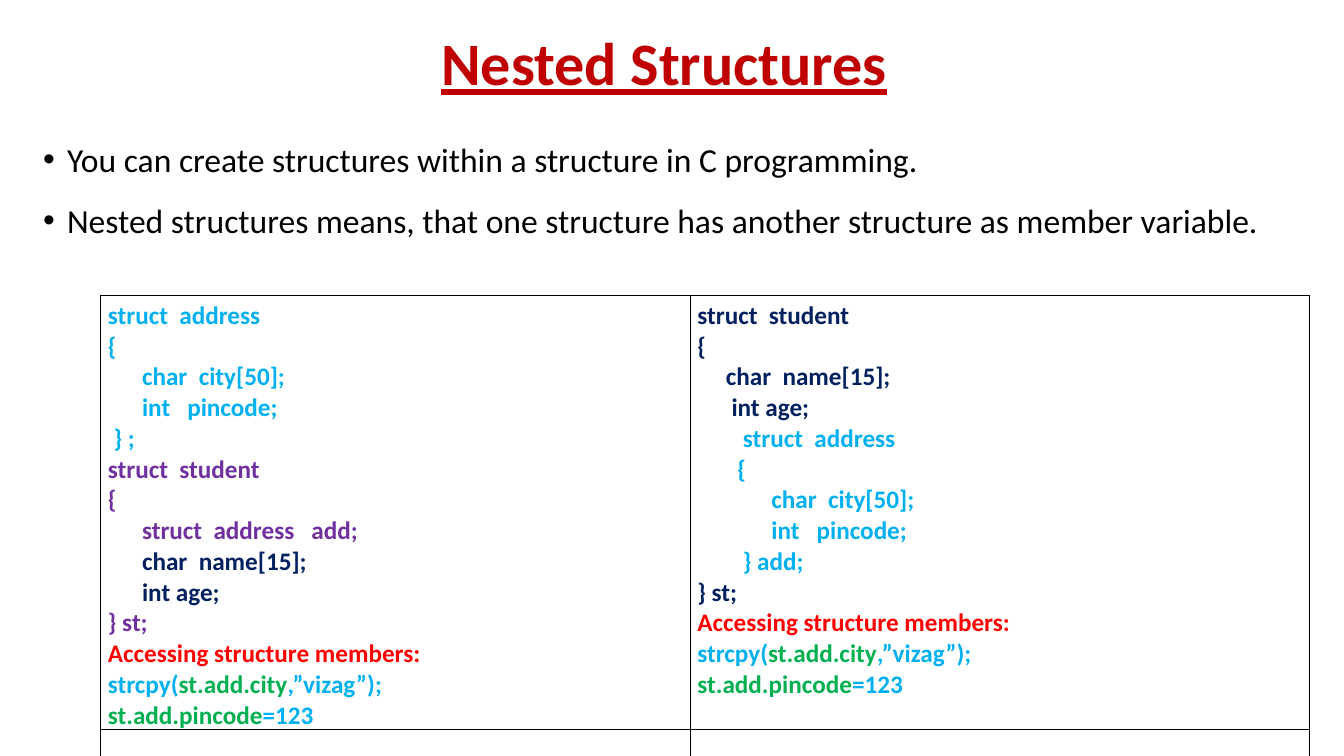
from typing import NamedTuple

from lxml import etree
from pptx import Presentation
from pptx.dml.color import RGBColor
from pptx.enum import text
from pptx.oxml import ns
from pptx.util import Cm, Pt

COLORS = {
    "black": "000000", "title": "C00000", "sky": "00B0F0", "purple": "7030A0",
    "navy": "002060", "red": "FF0000", "green": "00B050",
}
FONT = "Calibri"
SPACE_CM = 0.1435  # width of one column of code indentation


class Box(NamedTuple):
    left: float
    top: float
    width: float
    height: float


class Line(NamedTuple):
    """One line of code: its indent in columns and its (text, color) pieces."""
    indent: int
    pieces: list[tuple[str, str]]


def code(color: str, *lines: tuple[int, str]) -> list[Line]:
    return [Line(indent, [(words, color)]) for indent, words in lines]


# Content
BULLETS = [
    "You can create structures within a structure in C programming.",
    "Nested structures means, that one structure has another structure as member variable.",
]
ACCESS = [
    Line(0, [("Accessing structure members:", "red")]),
    Line(0, [("strcpy(", "sky"), ("st.add.city", "green"), (",”vizag”);", "sky")]),
    Line(0, [("st.add.pincode", "green"), ("=123", "sky")]),
]
SEPARATE = [
    *code("sky", (0, "struct  address"), (0, "{"), (6, "char  city[50];"),
          (6, "int   pincode;"), (1, "} ;")),
    *code("purple", (0, "struct  student"), (0, "{"), (6, "struct  address   add;")),
    *code("navy", (6, "char  name[15];"), (6, "int age;")),
    *code("purple", (0, "} st;")),
    *ACCESS,
]
EMBEDDED = [
    *code("navy", (0, "struct  student"), (0, "{"), (5, "char  name[15];"), (6, "int age;")),
    *code("sky", (8, "struct  address"), (7, "{"), (13, "char  city[50];"),
          (13, "int   pincode;"), (8, "} add;")),
    *code("navy", (0, "} st;")),
    *ACCESS,
]


def add_run(p, words: str, *, size: float, color: str,
            bold: bool = False, underline: bool = False) -> None:
    r = p.add_run()
    r.text = words
    r.font.name = FONT
    r.font.size = Pt(size)
    r.font.bold = bold
    r.font.underline = underline
    r.font.color.rgb = RGBColor.from_string(COLORS[color])


def next_paragraph(tf, index: int):
    return tf.paragraphs[0] if index == 0 else tf.add_paragraph()


def add_text_box(slide, box: Box, anchor: text.MSO_ANCHOR):
    sp = slide.shapes.add_textbox(*(Cm(v) for v in box))
    tf = sp.text_frame
    tf.word_wrap = True
    tf.vertical_anchor = anchor
    return tf


def set_bullet(p, hanging: float) -> None:
    pPr = p._p.get_or_add_pPr()
    pPr.set("marL", str(Cm(hanging)))
    pPr.set("indent", str(-Cm(hanging)))
    etree.SubElement(pPr, ns.qn("a:buFont")).set("typeface", "Arial")
    etree.SubElement(pPr, ns.qn("a:buChar")).set("char", "•")


def format_cell(cell) -> None:
    cell.fill.background()
    cell.margin_left = cell.margin_right = Cm(0.18)
    cell.margin_top = cell.margin_bottom = Cm(0.13)
    tcPr = cell._tc.get_or_add_tcPr()
    for i, side in enumerate(("lnL", "lnR", "lnT", "lnB")):
        ln = etree.Element(ns.qn(f"a:{side}"), w=str(Pt(0.45)))
        fill = etree.SubElement(ln, ns.qn("a:solidFill"))
        etree.SubElement(fill, ns.qn("a:srgbClr")).set("val", COLORS["black"])
        tcPr.insert(i, ln)


def fill_code(cell, lines: list[Line]) -> None:
    for i, line in enumerate(lines):
        p = next_paragraph(cell.text_frame, i)
        p._p.get_or_add_pPr().set("marL", str(Cm(line.indent * SPACE_CM)))
        for words, color in line.pieces:
            add_run(p, words, size=18, color=color, bold=True)


def main() -> None:
    prs = Presentation()
    prs.slide_width, prs.slide_height = Cm(33.88), Cm(19.05)
    slide = prs.slides.add_slide(prs.slide_layouts[6])

    # Bullets
    tf = add_text_box(slide, Box(0.84, 2.87, 31.6, 10.92), text.MSO_ANCHOR.TOP)
    for i, words in enumerate(BULLETS):
        p = next_paragraph(tf, i)
        p.alignment = text.PP_ALIGN.JUSTIFY
        p.line_spacing = 1.5
        set_bullet(p, 0.6)
        add_run(p, words, size=24, color="black")

    # Title
    tf = add_text_box(slide, Box(1.5, 0.66, 30.48, 2.03), text.MSO_ANCHOR.MIDDLE)
    p = tf.paragraphs[0]
    p.alignment = text.PP_ALIGN.CENTER
    p.line_spacing = 0.9
    add_run(p, "Nested Structures", size=43, color="title", bold=True, underline=True)

    # Code table
    widths, heights = (14.86, 15.6), (10.67, 9.55)
    box = Box(2.54, 7.44, sum(widths), sum(heights))
    table = slide.shapes.add_table(2, 2, *(Cm(v) for v in box)).table
    table.first_row = table.horz_banding = False
    for column, width in zip(table.columns, widths):
        column.width = Cm(width)
    for row, height in zip(table.rows, heights):
        row.height = Cm(height)
    for cell in table.iter_cells():
        format_cell(cell)
    for cell, lines in zip(table.rows[0].cells, (SEPARATE, EMBEDDED)):
        fill_code(cell, lines)

    prs.save("out.pptx")


if __name__ == "__main__":
    main()
